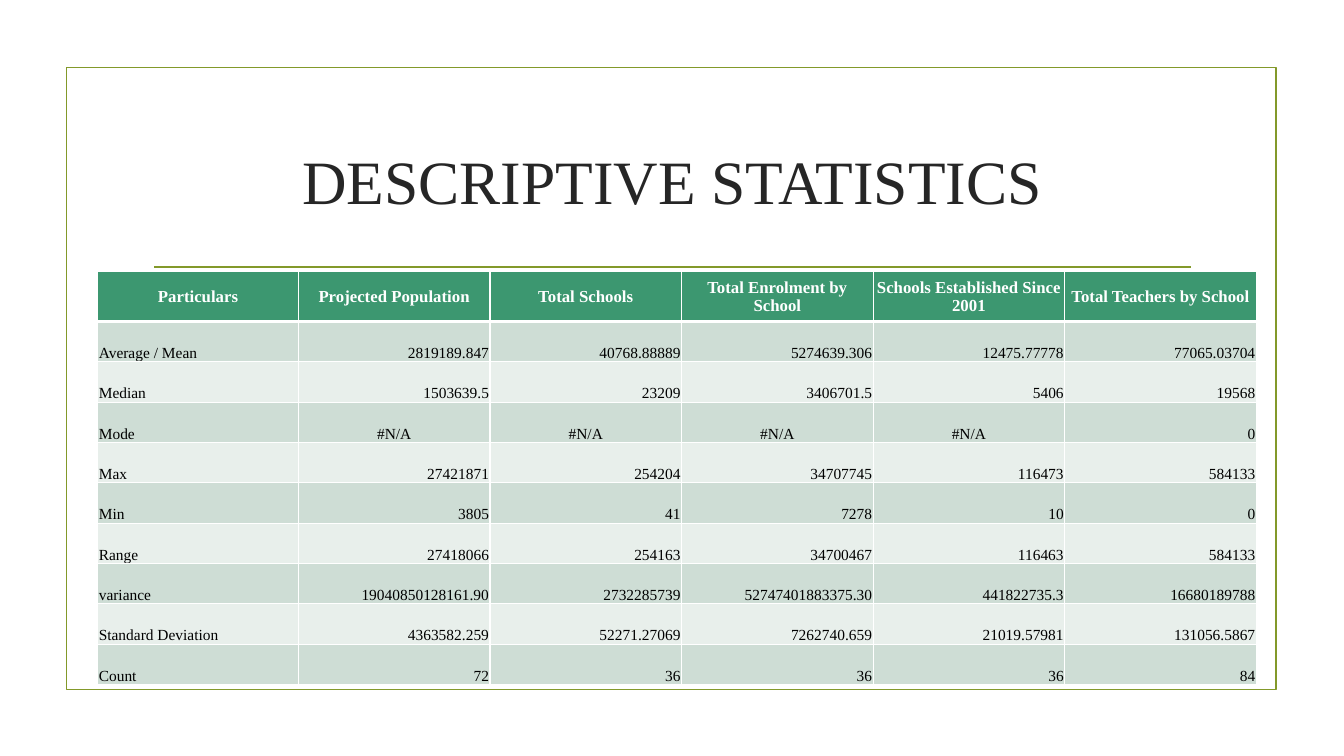
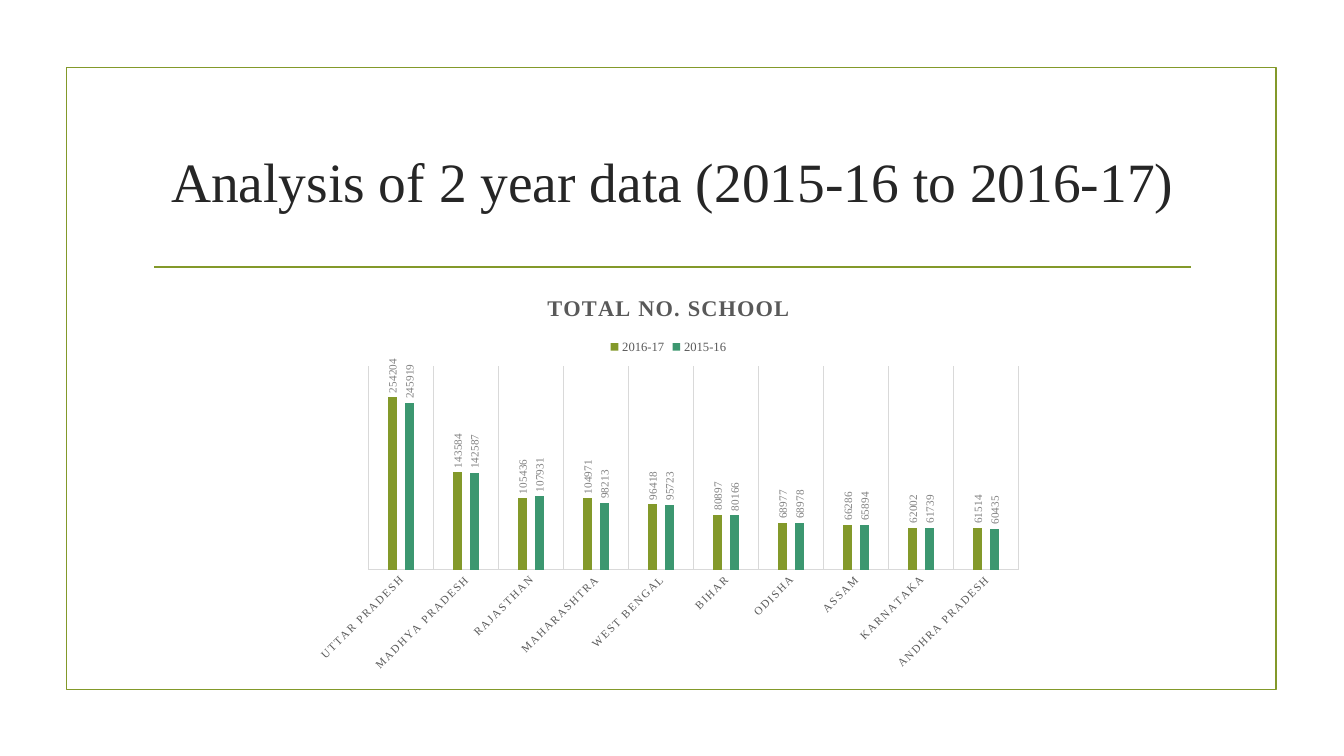
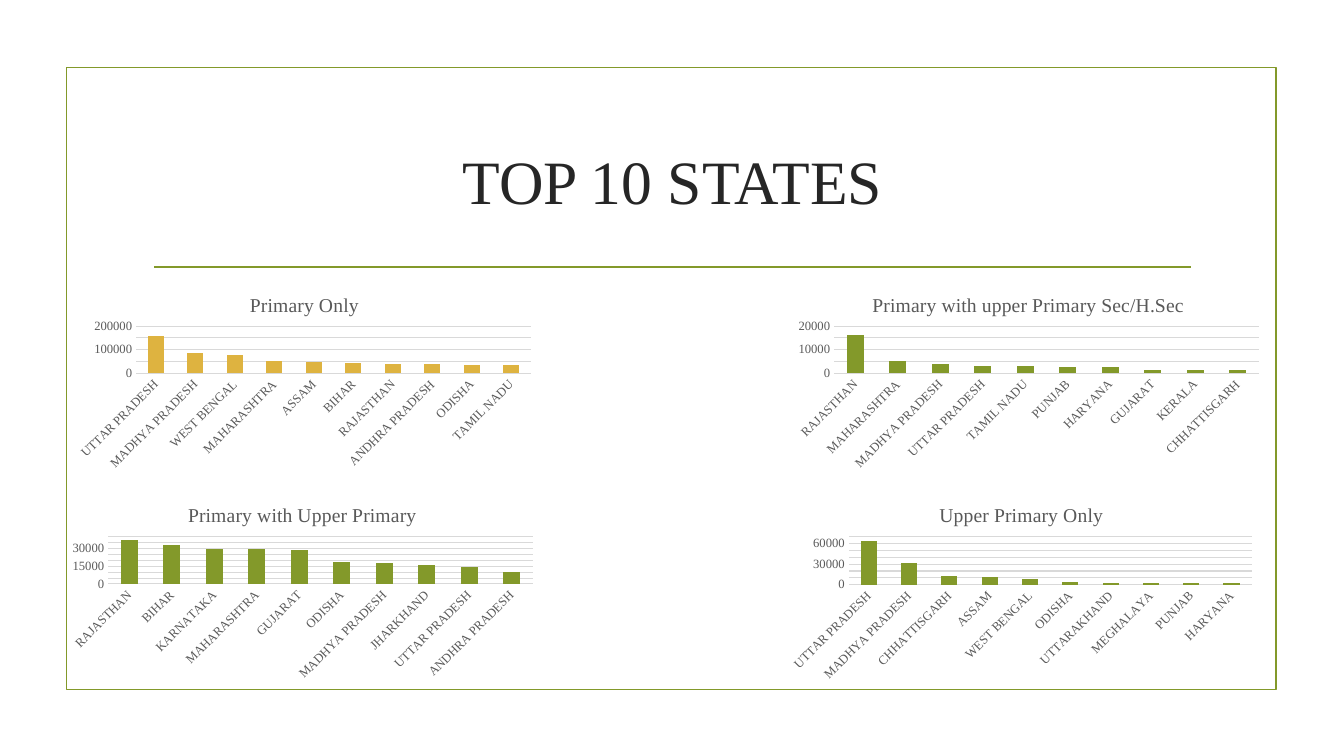
from pptx import Presentation
from pptx.chart.data import CategoryChartData
from pptx.dml.color import RGBColor
from pptx.enum.chart import XL_CHART_TYPE, XL_LABEL_POSITION, XL_LEGEND_POSITION, XL_TICK_MARK
from pptx.enum.shapes import MSO_CONNECTOR, MSO_SHAPE
from pptx.enum.text import MSO_ANCHOR as ANCHOR, PP_ALIGN as ALIGN
from pptx.oxml import parse_xml
from pptx.oxml.ns import nsdecls, qn
from pptx.util import Inches, Pt
from lxml.etree import SubElement

FONT = "Times New Roman"
OLIVE = RGBColor(0x83, 0x99, 0x2A)
GREEN = RGBColor(0x3C, 0x97, 0x70)
GOLD = RGBColor(0xDE, 0xB3, 0x40)
INK = RGBColor(0x26, 0x26, 0x26)
BLACK = RGBColor(0, 0, 0)
WHITE = RGBColor(0xFF, 0xFF, 0xFF)
TEXT_GREY = RGBColor(0x59, 0x59, 0x59)
LABEL_GREY = RGBColor(0x80, 0x80, 0x80)
GRID_GREY = RGBColor(0xD9, 0xD9, 0xD9)
BAND_DARK = RGBColor(0xCE, 0xDD, 0xD5)
BAND_LIGHT = RGBColor(0xE8, 0xEF, 0xEB)

prs = Presentation()
prs.slide_width, prs.slide_height = Inches(13.33), Inches(7.5)


def style(font, size, color, bold=False):
    font.name, font.size, font.bold = FONT, Pt(size), bold
    font.color.rgb = color


def add_columns(slide, box, heading, heading_size, categories, series, top, step, gap):
    """Column chart with slanted category names; series holds (name, values, colour)."""
    data = CategoryChartData()
    data.categories = categories
    for name, values, _ in series:
        data.add_series(name, values)
    chart = slide.shapes.add_chart(
        XL_CHART_TYPE.COLUMN_CLUSTERED, *[Inches(n) for n in box], data).chart
    style(chart.font, 10, BLACK)
    chart.has_legend = False
    chart.has_title = True
    run = chart.chart_title.text_frame.paragraphs[0].add_run()
    run.text = heading
    style(run.font, heading_size, TEXT_GREY)
    chart.chart_title.include_in_layout = False
    plot = chart.plots[0]
    plot.vary_by_categories = False
    plot.gap_width = gap
    for bars, (_, _, color) in zip(plot.series, series):
        bars.format.fill.solid()
        bars.format.fill.fore_color.rgb = color
    for axis in (chart.category_axis, chart.value_axis):
        axis.major_tick_mark = axis.minor_tick_mark = XL_TICK_MARK.NONE
        style(axis.tick_labels.font, 9, TEXT_GREY)
        axis.format.line.fill.background()
    scale = chart.value_axis
    scale.minimum_scale, scale.maximum_scale, scale.major_unit = 0, top, step
    scale.major_gridlines.format.line.color.rgb = GRID_GREY
    scale.major_gridlines.format.line.width = Pt(0.75)
    chart.element.xpath(".//c:catAx/c:txPr/a:bodyPr")[0].set("rot", "-2700000")
    return chart


# Frame, rule and title on every slide
slides = []
for heading, size in (("DESCRIPTIVE STATISTICS", 44),
                      ("Analysis of 2 year data (2015-16 to 2016-17)", 39.6),
                      ("TOP 10 STATES", 44)):
    slide = prs.slides.add_slide(prs.slide_layouts[6])
    slides.append(slide)
    frame = slide.shapes.add_shape(
        MSO_SHAPE.RECTANGLE, Inches(0.66), Inches(0.67), Inches(12), Inches(6.17))
    frame.shadow.inherit = False
    frame.fill.background()
    rule = slide.shapes.add_connector(
        MSO_CONNECTOR.STRAIGHT, Inches(1.53), Inches(2.65), Inches(11.81), Inches(2.65))
    SubElement(rule._element.spPr, qn("a:effectLst"))
    for outline in (frame.line, rule.line):
        outline.color.rgb = OLIVE
        outline.width = Pt(1.25)
    title = slide.shapes.add_textbox(
        Inches(1.42), Inches(1.07), Inches(10.5), Inches(1.43)).text_frame
    title.word_wrap = True
    title.vertical_anchor = ANCHOR.MIDDLE
    title.paragraphs[0].alignment = ALIGN.CENTER
    run = title.paragraphs[0].add_run()
    run.text = heading
    style(run.font, size, INK)

statistics_slide, years_slide, states_slide = slides

# Statistics table
STATISTICS = [
    ["Particulars", "Projected Population", "Total Schools", "Total Enrolment by School",
     "Schools Established Since 2001", "Total Teachers by School"],
    ["Average / Mean", "2819189.847", "40768.88889", "5274639.306", "12475.77778", "77065.03704"],
    ["Median", "1503639.5", "23209", "3406701.5", "5406", "19568"],
    ["Mode", "#N/A", "#N/A", "#N/A", "#N/A", "0"],
    ["Max", "27421871", "254204", "34707745", "116473", "584133"],
    ["Min", "3805", "41", "7278", "10", "0"],
    ["Range", "27418066", "254163", "34700467", "116463", "584133"],
    ["variance", "19040850128161.90", "2732285739", "52747401883375.30", "441822735.3",
     "16680189788"],
    ["Standard Deviation", "4363582.259", "52271.27069", "7262740.659", "21019.57981",
     "131056.5867"],
    ["Count", "72", "36", "36", "36", "84"],
]
table = statistics_slide.shapes.add_table(
    len(STATISTICS), 6, Inches(0.97), Inches(2.69), Inches(11.49), Inches(4.1)).table
table.horz_banding = False
for c, column in enumerate(table.columns):
    column.width = Inches(1.9 if c else 1.99)
for r, values in enumerate(STATISTICS):
    header = r == 0
    table.rows[r].height = Inches(0.5 if header else 0.4)
    for c, value in enumerate(values):
        cell = table.cell(r, c)
        cell.margin_left = cell.margin_right = cell.margin_top = Inches(0.01)
        cell.margin_bottom = 0
        cell.vertical_anchor = ANCHOR.MIDDLE if header else ANCHOR.BOTTOM
        cell.fill.solid()
        cell.fill.fore_color.rgb = GREEN if header else BAND_DARK if r % 2 else BAND_LIGHT
        paragraph = cell.text_frame.paragraphs[0]
        if header or value == "#N/A":
            paragraph.alignment = ALIGN.CENTER
        else:
            paragraph.alignment = ALIGN.RIGHT if c else ALIGN.LEFT
        run = paragraph.add_run()
        run.text = value
        style(run.font, 12 if header else 11, WHITE if header else BLACK, header)
        # Borders come before the fill in the cell properties
        for i, side in enumerate(("lnL", "lnR", "lnT", "lnB")):
            width = Pt(3 if header and side == "lnB" else 1)
            cell._tc.get_or_add_tcPr().insert(i, parse_xml(
                f'<a:{side} {nsdecls("a")} w="{width}"><a:solidFill>'
                f'<a:srgbClr val="{WHITE}"/></a:solidFill></a:{side}>'))

# Schools in two years
schools = add_columns(
    years_slide, (3.01, 2.74, 7.24, 4), "TOTAL NO. SCHOOL", 16,
    ["UTTAR PRADESH", "MADHYA PRADESH", "RAJASTHAN", "MAHARASHTRA", "WEST BENGAL",
     "BIHAR", "ODISHA", "ASSAM", "KARNATAKA", "ANDHRA PRADESH"],
    [("2016-17", [254204, 143584, 105436, 104971, 96418, 80897, 68977, 66286, 62002, 61514],
      OLIVE),
     ("2015-16", [245919, 142587, 107931, 98213, 95723, 80166, 68978, 65894, 61739, 60435],
      GREEN)],
    300000, 50000, 444)
schools.plots[0].overlap = -90
schools.chart_title.text_frame.paragraphs[0].runs[0].font.bold = True
schools.has_legend = True
schools.legend.position = XL_LEGEND_POSITION.TOP
schools.legend.include_in_layout = False
style(schools.legend.font, 9, TEXT_GREY)
schools.value_axis.has_major_gridlines = False
schools.value_axis.visible = False
state_axis = schools.category_axis
state_axis.tick_labels.font.size = Pt(8)
for line in (state_axis.format.line, state_axis.major_gridlines.format.line):
    line.color.rgb = GRID_GREY
    line.width = Pt(0.75)
for bars in schools.plots[0].series:
    labels = bars.data_labels
    labels.show_value = True
    labels.position = XL_LABEL_POSITION.OUTSIDE_END
    style(labels.font, 8, LABEL_GREY)
for body in schools.element.xpath(".//c:ser/c:dLbls/c:txPr/a:bodyPr"):
    body.set("rot", "-5400000")
    body.set("vert", "horz")
for spaced in schools.element.xpath(".//c:catAx/c:txPr//a:defRPr | .//c:title//a:rPr"):
    spaced.set("spc", "100")

# Top ten states by kind of school
TOP_STATES = [
    ("Primary Only", (0.68, 2.77, 4.68, 1.91), GOLD, 200000, 50000,
     {"UTTAR PRADESH": 160000, "MADHYA PRADESH": 88000, "WEST BENGAL": 77000,
      "MAHARASHTRA": 53000, "ASSAM": 49000, "BIHAR": 44000, "RAJASTHAN": 40000,
      "ANDHRA PRADESH": 39000, "ODISHA": 36000, "TAMIL NADU": 35000}),
    ("Primary with upper Primary Sec/H.Sec", (7.82, 2.77, 4.76, 1.91), OLIVE, 20000, 5000,
     {"RAJASTHAN": 16200, "MAHARASHTRA": 5200, "MADHYA PRADESH": 4000,
      "UTTAR PRADESH": 3100, "TAMIL NADU": 3000, "PUNJAB": 2700, "HARYANA": 2500,
      "GUJARAT": 1600, "KERALA": 1400, "CHHATTISGARH": 1200}),
    ("Primary with Upper Primary", (0.62, 4.86, 4.76, 1.91), OLIVE, 40000, 5000,
     {"RAJASTHAN": 37000, "BIHAR": 33000, "KARNATAKA": 30000, "MAHARASHTRA": 30000,
      "GUJARAT": 29000, "ODISHA": 19000, "MADHYA PRADESH": 18000, "JHARKHAND": 16000,
      "UTTAR PRADESH": 14000, "ANDHRA PRADESH": 10000}),
    ("Upper Primary Only", (7.75, 4.86, 4.76, 1.93), OLIVE, 70000, 10000,
     {"UTTAR PRADESH": 64000, "MADHYA PRADESH": 31000, "CHHATTISGARH": 12000,
      "ASSAM": 11000, "WEST BENGAL": 8000, "ODISHA": 4000, "UTTARAKHAND": 3000,
      "MEGHALAYA": 3000, "PUNJAB": 3000, "HARYANA": 2000}),
]
for heading, box, color, top, step, counts in TOP_STATES:
    add_columns(states_slide, box, heading, 14, list(counts),
                [("Series 1", list(counts.values()), color)], top, step, 150)

prs.save("out.pptx")
